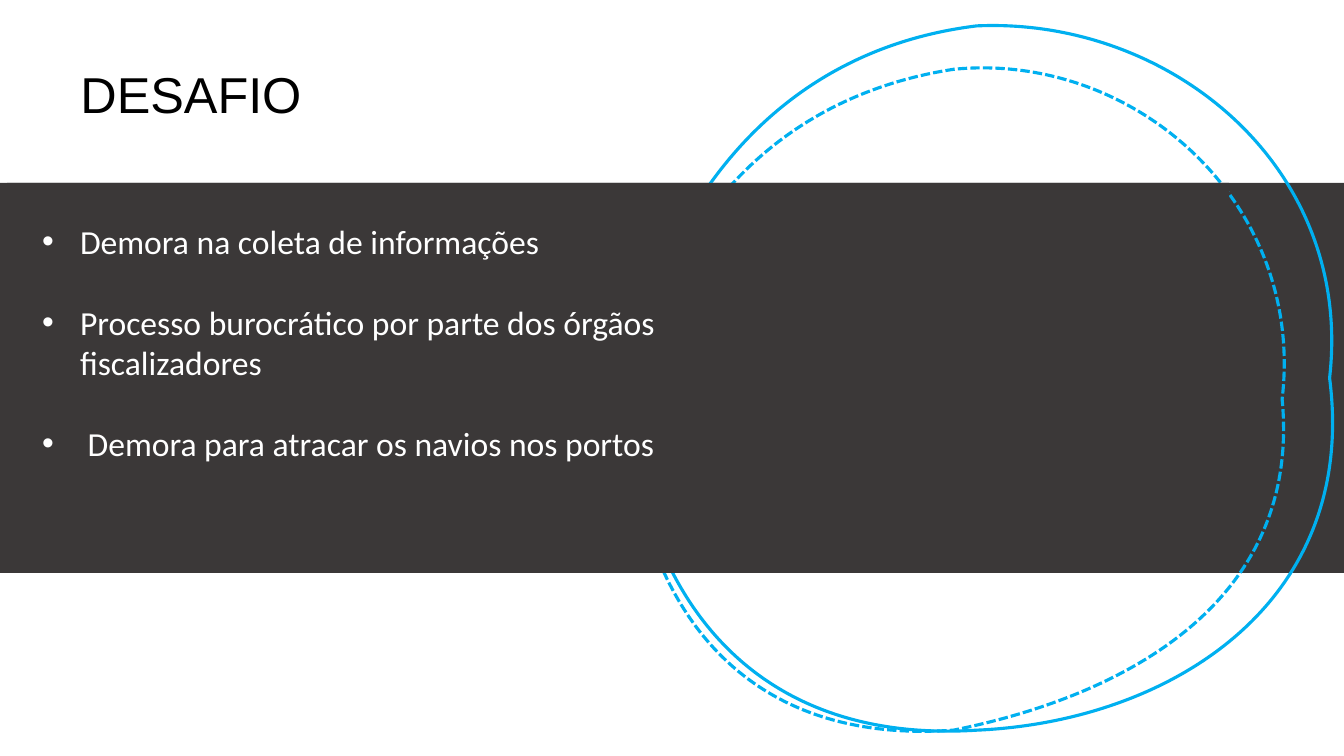
from dataclasses import dataclass

from lxml import etree
from pptx import Presentation
from pptx.dml.color import RGBColor
from pptx.enum.dml import MSO_LINE
from pptx.enum.shapes import MSO_SHAPE
from pptx.enum.text import MSO_AUTO_SIZE, PP_ALIGN
from pptx.oxml.ns import qn
from pptx.slide import Slide
from pptx.util import Emu, Inches, Pt

SOLID, DASHED = MSO_LINE.SOLID, MSO_LINE.SQUARE_DOT
RECTANGLE = MSO_SHAPE.RECTANGLE
LEFT = PP_ALIGN.LEFT
FIT_SHAPE = MSO_AUTO_SIZE.SHAPE_TO_FIT_TEXT

COLORS = {"band": "3B3838", "ring": "00B0F0", "title": "000000", "body": "FFFFFF"}
WIDTH, HEIGHT = Inches(13.333), Inches(7.5)
BULLET_INDENT = 2.82

Point = tuple[float, float]


# Positions and sizes are percentages of the slide's width and height.
@dataclass(frozen=True)
class Area:
    left: float
    top: float
    width: float
    height: float

    def emu(self) -> tuple[Emu, Emu, Emu, Emu]:
        return (across(self.left), down(self.top),
                across(self.width), down(self.height))


@dataclass(frozen=True)
class Ring:
    start: Point
    curves: tuple[tuple[Point, Point, Point], ...]
    dash: MSO_LINE


@dataclass(frozen=True)
class TextBlock:
    area: Area
    lines: tuple[str, ...]
    font: dict[str, object]
    color: str
    bulleted: bool = False
    gap: float = 0


BACK_BAND = Area(0.53, 24.2, 100, 51.6)
FRONT_BAND = Area(0, 24.2, 91.43, 51.6)

RINGS = (
    Ring((46.5, 50), (
        ((49.88, 25.07), (58.43, 6.53), (72.68, 3.42)),
        ((87.08, 2.27), (100.73, 22.13), (98.93, 50)),
        ((101.1, 79.87), (87, 95.47), (72.68, 96.58)),
        ((55.58, 98.53), (47.25, 78), (46.5, 50)),
    ), SOLID),
    Ring((46.5, 52.8), (
        ((49.58, 29.33), (57.68, 12.8), (70.95, 9.17)),
        ((84.38, 6.8), (97.13, 26.8), (95.4, 52.8)),
        ((96.83, 79.6), (83.78, 92), (70.95, 96.58)),
        ((54.75, 98.67), (47.25, 79.2), (46.5, 52.8)),
    ), DASHED),
)

TITLE = TextBlock(
    Area(5.25, 7.7, 42.75, 9.47), ("DESAFIO",),
    {"name": "Arial", "size": Pt(36)}, "title",
)
CHALLENGES = TextBlock(
    Area(2.4, 28.53, 53.25, 44.4),
    (
        "Demora na coleta de informações",
        "Processo burocrático por parte dos órgãos fiscalizadores",
        " Demora para atracar os navios nos portos",
    ),
    {"name": "Calibri", "size": Pt(24)}, "body", bulleted=True, gap=29,
)


def across(share: float) -> Emu:
    return Emu(round(WIDTH * share / 100))


def down(share: float) -> Emu:
    return Emu(round(HEIGHT * share / 100))


def color(name: str) -> RGBColor:
    return RGBColor.from_string(COLORS[name])


def add_band(page: Slide, area: Area) -> None:
    band = page.shapes.add_shape(RECTANGLE, *area.emu())
    band.shadow.inherit = False
    band.fill.solid()
    band.fill.fore_color.rgb = color("band")
    band.line.fill.background()


def bend_segments(outline, ring: Ring) -> None:
    """Turn the straight segments of the outline into the ring's cubic curves."""
    segments = list(outline._element.iter(qn("a:lnTo")))
    for segment, curve in zip(segments, ring.curves):
        bend = etree.Element(qn("a:cubicBezTo"))
        for x, y in curve:
            point = etree.SubElement(bend, qn("a:pt"))
            point.set("x", str(across(x) - outline.left))
            point.set("y", str(down(y) - outline.top))
        segment.getparent().replace(segment, bend)


def add_ring(page: Slide, ring: Ring) -> None:
    builder = page.shapes.build_freeform(across(ring.start[0]), down(ring.start[1]))
    anchors = [(across(x), down(y)) for _, _, (x, y) in ring.curves]
    builder.add_line_segments(anchors, close=True)
    outline = builder.convert_to_shape()
    bend_segments(outline, ring)
    outline.shadow.inherit = False
    outline.fill.background()
    outline.line.color.rgb = color("ring")
    for name, value in {"width": Pt(2.25), "dash_style": ring.dash}.items():
        setattr(outline.line, name, value)


def add_bullet(para) -> None:
    properties = para._p.get_or_add_pPr()
    indent = across(BULLET_INDENT)
    properties.set("marL", str(indent))
    properties.set("indent", str(-indent))
    etree.SubElement(properties, qn("a:buFont")).set("typeface", "Arial")
    etree.SubElement(properties, qn("a:buChar")).set("char", "•")


def add_text(page: Slide, block: TextBlock) -> None:
    box = page.shapes.add_textbox(*block.area.emu())
    frame = box.text_frame
    for name, value in {"word_wrap": True, "auto_size": FIT_SHAPE}.items():
        setattr(frame, name, value)
    for index, line in enumerate(block.lines):
        para = frame.add_paragraph() if index else frame.paragraphs[0]
        para.alignment = LEFT
        if index:
            para.space_before = Pt(block.gap)
        if block.bulleted:
            add_bullet(para)
        span = para.add_run()
        span.text = line
        span.font.color.rgb = color(block.color)
        for name, value in block.font.items():
            setattr(span.font, name, value)


def main() -> None:
    deck = Presentation()
    deck.slide_width, deck.slide_height = WIDTH, HEIGHT
    page = deck.slides.add_slide(deck.slide_layouts[6])
    add_band(page, BACK_BAND)
    add_text(page, TITLE)
    for ring in RINGS:
        add_ring(page, ring)
    add_band(page, FRONT_BAND)
    add_text(page, CHALLENGES)
    deck.save("out.pptx")


if __name__ == "__main__":
    main()
